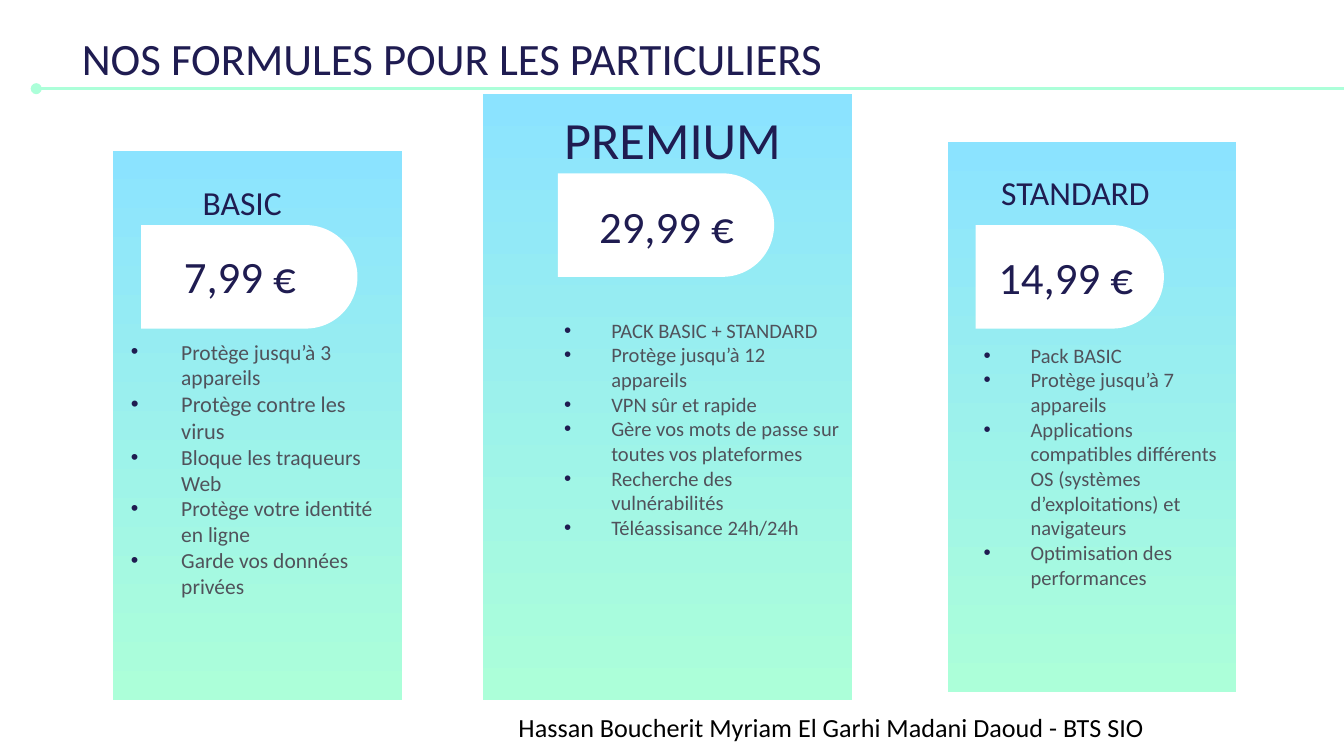
from dataclasses import dataclass

from lxml import etree
from pptx import Presentation
from pptx import util as u
from pptx.dml.color import RGBColor
from pptx.enum import shapes, text
from pptx.oxml import ns


@dataclass(frozen=True)
class Theme:
    font: str = "Calibri"
    navy: str = "1F1C51"
    grey: str = "50525B"
    black: str = "000000"
    white: str = "FFFFFF"
    sky: str = "8BE3FF"
    mint: str = "ACFFD9"
    heading: float = 24
    plan: float = 18
    premium: float = 28
    item: float = 11
    footer: float = 14
    rule: float = 1.5


T = Theme()
COLS, ROWS = 100, 56.25
CELL = u.Inches(0.1)

CARDS = [
    dict(panel=(8.4, 11.2, 21.5, 40.9), tag=(10.5, 16.75, 16.1, 7.7),
         name=("BASIC", (14.1, 12.5, 14, 4.1), T.plan),
         price=("7,99 €", (12.7, 17.5, 14, 5.9)),
         body=(7.5, 24.2, 21.5, 24.7), hang=3.75, top=1,
         items=[("Protège jusqu’à 3 appareils", 11.5),
                ("Protège contre les virus", 12),
                ("Bloque les traqueurs Web", 11.5),
                ("Protège votre identité en ligne", 11.5),
                ("Garde vos données privées", 11.5)]),
    dict(panel=(35.9, 7, 27.5, 45.1), tag=(41.5, 12.9, 16.1, 7.7),
         name=("PREMIUM", (41, 7, 20.6, 10), T.premium),
         price=("29,99 €", (43.6, 13.8, 14, 5.9)),
         body=(39.5, 20.8, 24.3, 27.7), hang=3.5, top=2.85,
         items=[("PACK BASIC + STANDARD", T.item),
                ("Protège jusqu’à 12 appareils", T.item),
                ("VPN sûr et rapide", T.item),
                ("Gère vos mots de passe sur toutes vos plateformes", T.item),
                ("Recherche des vulnérabilités", T.item),
                ("Téléassisance 24h/24h", T.item)]),
    dict(panel=(70.5, 10.6, 21.5, 40.9), tag=(72.6, 16.75, 14, 7.7),
         name=("STANDARD", (73.5, 11.8, 15.9, 5.9), T.plan),
         price=("14,99 €", (73.3, 17.6, 14, 5.9)),
         body=(70.7, 24.5, 21, 21.9), hang=3.5, top=1,
         items=[("Pack BASIC", T.item),
                ("Protège jusqu’à 7 appareils", T.item),
                ("Applications compatibles différents OS (systèmes "
                 "d’exploitations) et navigateurs", T.item),
                ("Optimisation des performances", T.item)]),
]


def grid(*cells):
    return [u.Emu(round(c * CELL)) for c in cells]


def rgb(color):
    return RGBColor.from_string(color)


def apply(obj, **values):
    for key, value in values.items():
        setattr(obj, key, value)


def add_block(s, box, kind):
    sp = s.shapes.add_shape(kind, *grid(*box))
    sp.shadow.inherit = False
    sp.line.fill.background()
    return sp


def add_panel(s, box):
    fill = add_block(s, box, shapes.MSO_SHAPE.RECTANGLE).fill
    fill.gradient()
    fill.gradient_angle = 270
    for stop, color, pos in zip(fill.gradient_stops, (T.sky, T.mint), (0, 1)):
        stop.color.rgb = rgb(color)
        stop.position = pos


def add_tag(s, box):
    x, y, w, h = box
    upright = (x + (w - h) / 2, y + (h - w) / 2, h, w)
    sp = add_block(s, upright, shapes.MSO_SHAPE.ROUND_2_SAME_RECTANGLE)
    sp.rotation = 90
    sp.adjustments[0], sp.adjustments[1] = 0.5, 0
    sp.fill.solid()
    sp.fill.fore_color.rgb = rgb(T.white)


def add_frame(s, box, top=1, anchor=text.MSO_ANCHOR.TOP):
    tf = s.shapes.add_textbox(*grid(*box)).text_frame
    side, upper = grid(1, top)
    apply(tf, word_wrap=True, vertical_anchor=anchor, margin_left=side,
          margin_right=side, margin_top=upper, margin_bottom=side)
    return tf


def add_run(p, words, size, color):
    r = p.add_run()
    r.text = words
    apply(r.font, name=T.font, size=u.Pt(size))
    r.font.color.rgb = rgb(color)


def add_label(s, words, box, size, color=T.navy, **frame):
    add_run(add_frame(s, box, **frame).paragraphs[0], words, size, color)


def set_bullet(p, hang):
    left, indent = grid(5, -hang)
    pPr = p._p.get_or_add_pPr()
    pPr.set("marL", str(left))
    pPr.set("indent", str(indent))
    clr = etree.SubElement(pPr, ns.qn("a:buClr"))
    etree.SubElement(clr, ns.qn("a:srgbClr"), val=T.navy)
    etree.SubElement(pPr, ns.qn("a:buFont"), typeface="Arial")
    etree.SubElement(pPr, ns.qn("a:buChar"), char="•")


def add_list(s, items, box, hang, top):
    tf = add_frame(s, box, top)
    for i, (words, size) in enumerate(items):
        p = tf.add_paragraph() if i else tf.paragraphs[0]
        set_bullet(p, hang)
        add_run(p, words, size, T.grey)


def add_rule(s, x1, x2, y):
    cx = s.shapes.add_connector(shapes.MSO_CONNECTOR.STRAIGHT,
                                *grid(x1, y, x2, y))
    cx.line.width = u.Pt(T.rule)
    cx.line.color.rgb = rgb(T.mint)
    etree.SubElement(cx.line._get_or_add_ln(), ns.qn("a:headEnd"), type="oval")
    etree.SubElement(cx._element.spPr, ns.qn("a:effectLst"))


def add_card(s, card):
    add_panel(s, card["panel"])
    add_tag(s, card["tag"])
    add_list(s, card["items"], card["body"], card["hang"], card["top"])
    add_label(s, *card["name"])
    add_label(s, *card["price"], T.heading)


def main():
    prs = Presentation()
    prs.slide_width, prs.slide_height = grid(COLS, ROWS)
    s = prs.slides.add_slide(prs.slide_layouts[6])
    add_rule(s, 2.7, COLS, 6.6)
    add_label(s, "NOS FORMULES POUR LES PARTICULIERS", (5.1, 1.3, 66.5, 5.9),
              T.heading, anchor=text.MSO_ANCHOR.MIDDLE)
    for card in CARDS:
        add_card(s, card)
    add_label(s, "Hassan Boucherit Myriam El Garhi Madani Daoud - BTS SIO",
              (37.6, 51.9, 60, 4.35), T.footer, T.black)
    prs.save("out.pptx")


if __name__ == "__main__":
    main()
